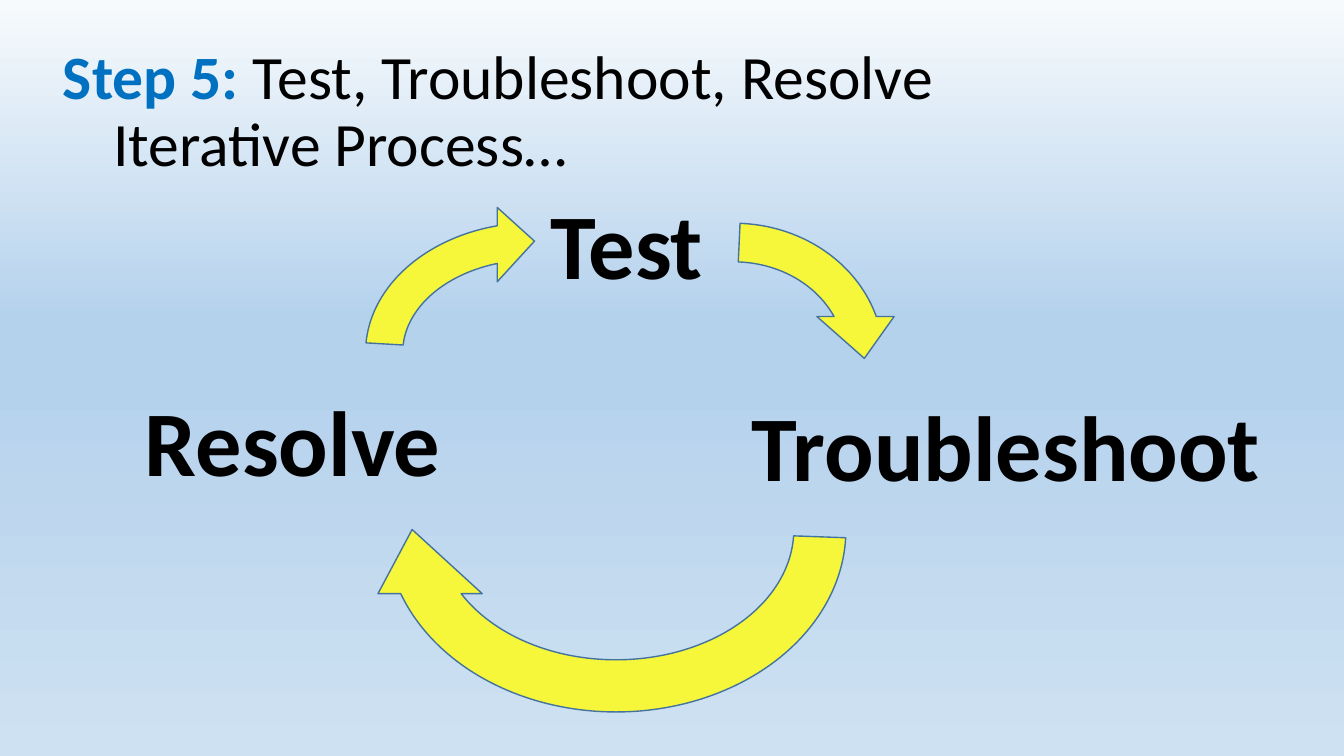
"""Builds the slide on the iterative cycle of testing, troubleshooting and resolving."""
import lxml.etree
import pptx
import pptx.dml.color
import pptx.enum.shapes
import pptx.enum.text
import pptx.oxml.ns
import pptx.util

COLORS = {"step": "0070C0", "text": "000000", "arrow": "F6F63A", "outline": "43739E"}
BACKGROUND_STOPS = [(0, "F7FAFD"), (42, "B5D2EC"), (50, "B5D2EC"), (100, "CEE1F2")]
FONT = "Calibri"
SLIDE_SIZE = (1344, 756)

TITLE_BOX = (53, 40, 1199, 146)
TITLE_LINES = [
    [("Step 5: ", "step", True), ("Test, Troubleshoot, Resolve", "text", False)],
    [("\tIterative Process…", "text", False)],
]
STAGES = [
    ("Test", (541, 182, 174, 122)),
    ("Troubleshoot", (742, 384, 534, 122)),
    ("Resolve", (135, 379, 320, 122)),
]
ARROWS = [
    ((360, 321, 512, 417), 180, 109.23),
    ((565, 204, 338, 309), 0, 163.54),
    ((386, 165, 297, 375), 270, 163.96),
]


def px(length):
    return pptx.util.Emu(round(length * 914400 / 100.8))


def color(name):
    return pptx.dml.color.RGBColor.from_string(COLORS[name])


def style_run(run, size, color_name, bold):
    run.font.name = FONT
    run.font.size = pptx.util.Pt(size)
    run.font.bold = bold
    run.font.color.rgb = color(color_name)


def paint_background(slide):
    fill = slide.background.fill
    fill.gradient()
    fill.gradient_angle = 270
    qn = pptx.oxml.ns.qn
    stop_list = next(slide.element.iter(qn("a:gsLst")))
    for old_stop in list(stop_list):
        stop_list.remove(old_stop)
    for percent, value in BACKGROUND_STOPS:
        stop = lxml.etree.SubElement(stop_list, qn("a:gs"), pos=str(percent * 1000))
        lxml.etree.SubElement(stop, qn("a:srgbClr"), val=value)


def add_title(slide):
    frame = slide.shapes.add_textbox(*map(px, TITLE_BOX)).text_frame
    frame.word_wrap = True
    frame.vertical_anchor = pptx.enum.text.MSO_ANCHOR.MIDDLE
    paragraph = frame.paragraphs[0]
    paragraph.line_spacing = 0.9
    for index, line in enumerate(TITLE_LINES):
        if index:
            paragraph.add_line_break()
        for text, color_name, bold in line:
            run = paragraph.add_run()
            run.text = text
            style_run(run, 44, color_name, bold)


def add_stage(slide, label, box):
    frame = slide.shapes.add_textbox(*map(px, box)).text_frame
    frame.word_wrap = False
    frame.auto_size = pptx.enum.text.MSO_AUTO_SIZE.SHAPE_TO_FIT_TEXT
    frame.text = label
    style_run(frame.paragraphs[0].runs[0], 66, "text", True)


def add_arrow(slide, box, rotation, start_angle):
    arrow = slide.shapes.add_shape(
        pptx.enum.shapes.MSO_SHAPE.CIRCULAR_ARROW, *map(px, box))
    arrow.rotation = rotation
    for index, value in enumerate((0.125, 11.42, 204.58, start_angle, 0.125)):
        arrow.adjustments[index] = value
    arrow.shadow.inherit = False
    arrow.fill.solid()
    arrow.fill.fore_color.rgb = color("arrow")
    arrow.line.color.rgb = color("outline")
    arrow.line.width = pptx.util.Pt(1)


def main():
    presentation = pptx.Presentation()
    presentation.slide_width, presentation.slide_height = map(px, SLIDE_SIZE)
    slide = presentation.slides.add_slide(presentation.slide_layouts[6])
    paint_background(slide)
    add_title(slide)
    for arrow in ARROWS:
        add_arrow(slide, *arrow)
    for stage in STAGES:
        add_stage(slide, *stage)
    presentation.save("out.pptx")


if __name__ == "__main__":
    main()
